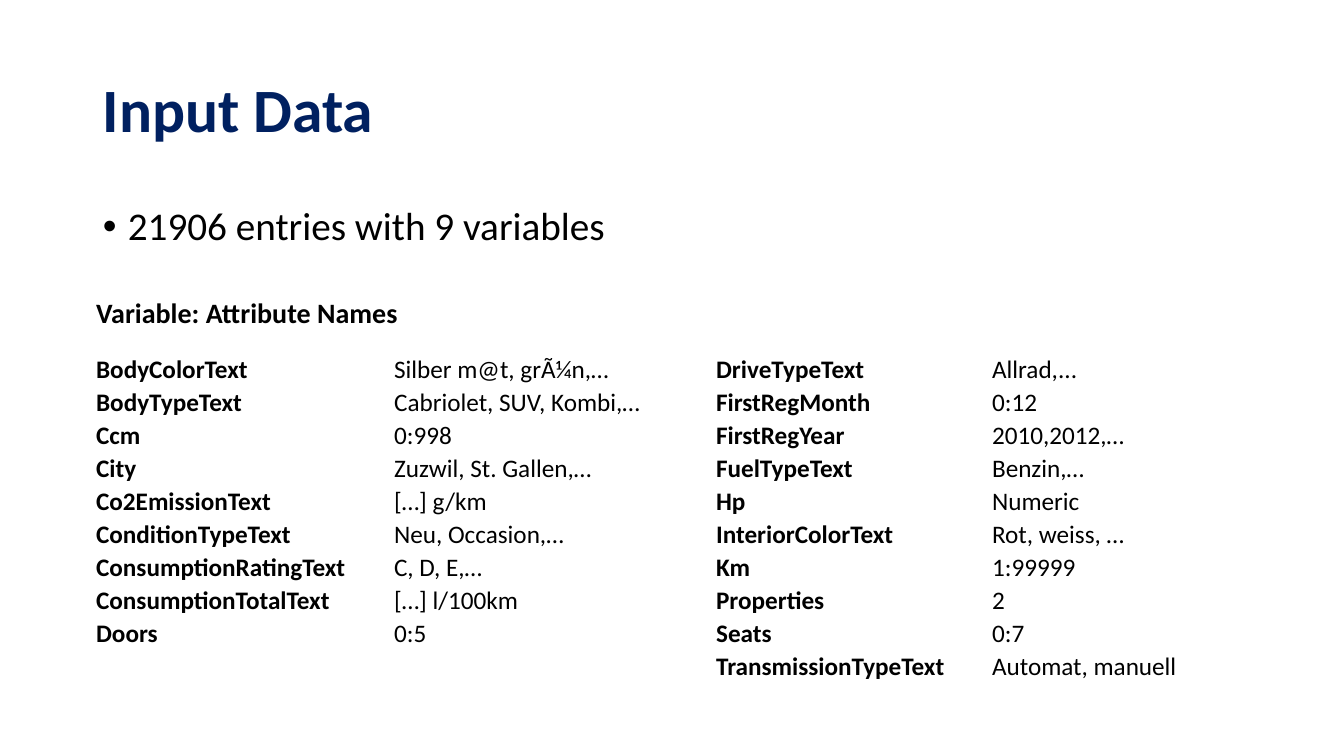
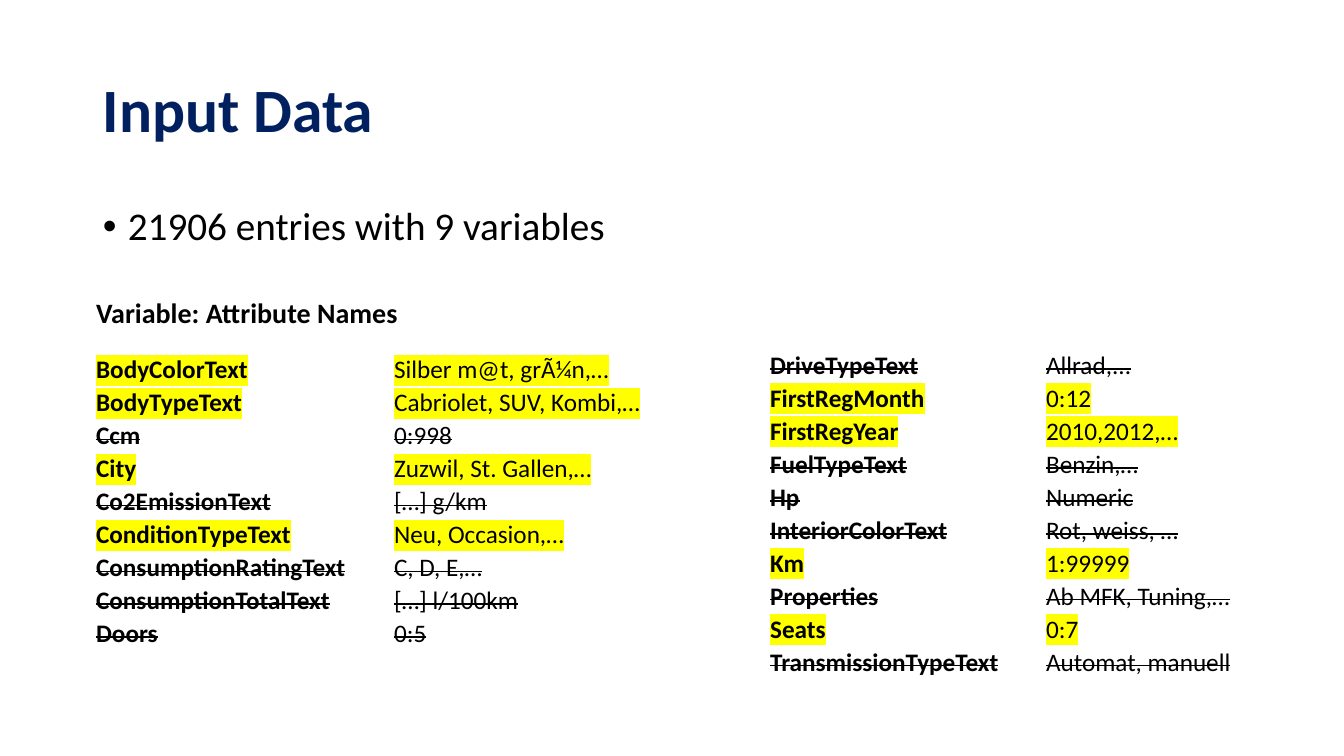
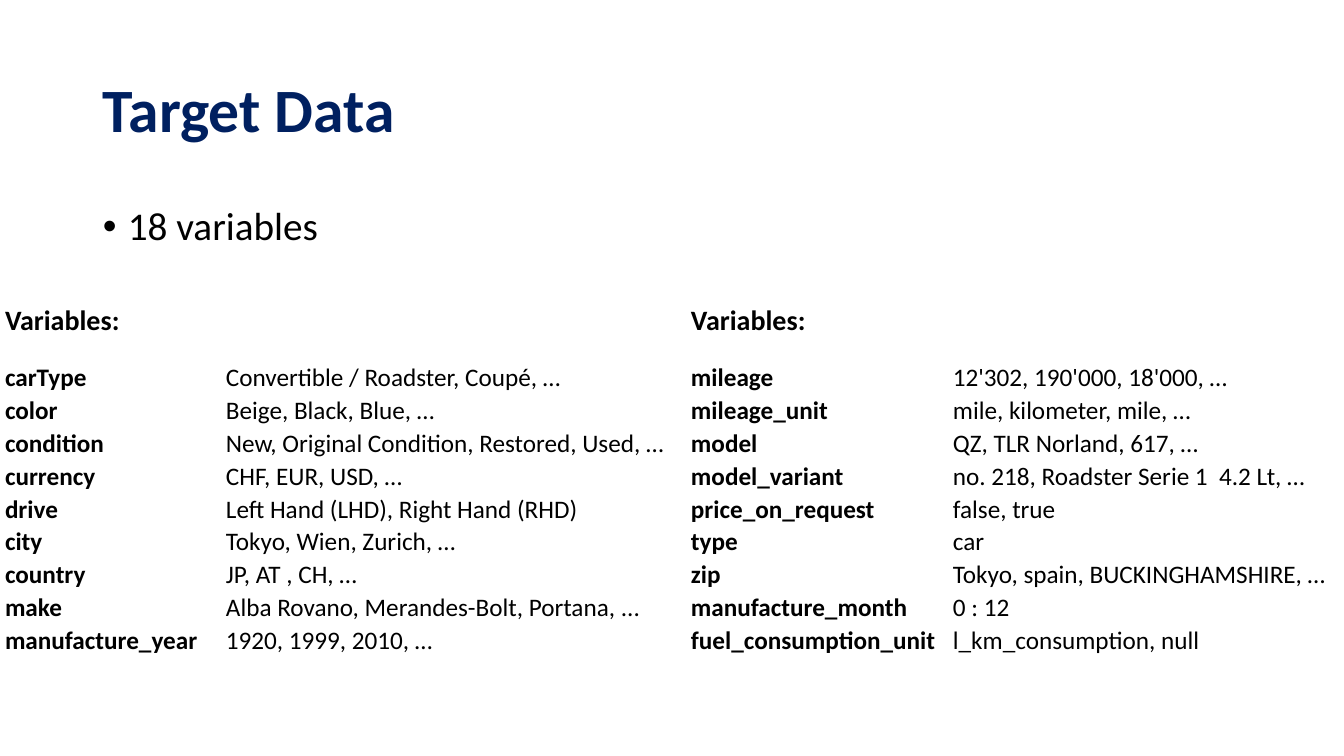
from dataclasses import dataclass, replace
from typing import Any

from lxml.etree import SubElement
from pptx import Presentation
from pptx.dml.color import RGBColor
from pptx.enum.text import MSO_ANCHOR
from pptx.oxml.ns import qn
from pptx.slide import Slide
from pptx.table import Table, _Cell
from pptx.text.text import _Paragraph, _Run
from pptx.util import Emu, Pt

SCALE = 9071.43
NAVY = RGBColor(0x00, 0x20, 0x60)
BLACK = RGBColor(0, 0, 0)
YELLOW = RGBColor(0xFF, 0xFF, 0x00)
FACE = "Calibri"
PLAIN = "{2D5ABB26-0587-4C30-8999-92F81FD0307C}"
PITCH = 33
HEADER = 36

TITLE = {"size": Pt(44), "bold": True}
LEAD = {"size": Pt(28), "bold": False}
HEAD = {"size": Pt(20), "bold": True}
NAME = {"size": Pt(18), "bold": True}
VALUE = {"size": Pt(18), "bold": False}


@dataclass(frozen=True)
class Entry:
    name: str
    value: str


@dataclass(frozen=True)
class Grid:
    left: int
    top: int
    cols: tuple[int, ...]
    head: tuple[int, ...]
    items: tuple[Entry, ...]
    title: str = ""
    first: int = PITCH
    foot: tuple[int, ...] = ()
    marked: bool = False


@dataclass(frozen=True)
class Page:
    title: str
    lead: str
    grids: tuple[Grid, ...]


def px(count: int) -> Emu:
    return Emu(round(count * SCALE))


def apply(target: Any, values: dict[str, Any]) -> None:
    for key, value in values.items():
        setattr(target, key, value)


def write(line: _Paragraph, text: str, style: dict[str, Any], color: RGBColor = BLACK) -> _Run:
    run = line.add_run()
    run.text = text
    apply(run.font, {"name": FACE, **style})
    run.font.color.rgb = color
    return run


def mark(run: _Run, kept: bool) -> None:
    props = run.font._element
    if kept:
        glow = SubElement(props, qn("a:highlight"))
        SubElement(glow, qn("a:srgbClr"), val=str(YELLOW))
        props.find(qn("a:latin")).addprevious(glow)
    else:
        props.set("strike", "sngStrike")


def fill_cell(cell: _Cell, text: str, style: dict[str, Any]) -> _Run:
    apply(cell, {
        "margin_left": px(1), "margin_right": px(1), "margin_top": px(1),
        "margin_bottom": 0, "vertical_anchor": MSO_ANCHOR.BOTTOM,
    })
    return write(cell.text_frame.paragraphs[0], text, style)


def join(table: Table, row: int, last: int) -> None:
    table.cell(row, 1).merge(table.cell(row, last))


def draw_grid(slide: Slide, grid: Grid) -> None:
    heights = grid.head + (grid.first,) + (PITCH,) * (len(grid.items) - 1) + grid.foot
    frame = slide.shapes.add_table(
        len(heights), len(grid.cols), px(grid.left), px(grid.top),
        px(sum(grid.cols)), px(sum(heights)))
    table = frame.table
    apply(table, {"first_row": False, "horz_banding": False})
    table._tbl.tblPr.find(qn("a:tableStyleId")).text = PLAIN
    for col, width in zip(table.columns, grid.cols):
        col.width = px(width)
    for row, height in zip(table.rows, heights):
        row.height = px(height)

    wide = len(grid.cols) > 2
    start, end = (1, 3) if wide else (0, 1)
    if HEADER in grid.head:
        row = grid.head.index(HEADER)
        if wide:
            join(table, row, end)
        if grid.title:
            fill_cell(table.cell(row, start), grid.title, HEAD)
    for row, item in enumerate(grid.items, len(grid.head)):
        if wide:
            join(table, row, end - 1)
        runs = (fill_cell(table.cell(row, start), item.name, NAME),
                fill_cell(table.cell(row, end), item.value, VALUE))
        if grid.marked:
            for run in runs:
                mark(run, item.name in KEPT)

    for cell in table.iter_cells():
        cell.fill.background()
        line = cell.text_frame.paragraphs[0]
        if not line.runs:
            SubElement(line._p, qn("a:endParaRPr"), sz="700")


def add_line(slide: Slide, top: int, height: int, text: str,
             style: dict[str, Any], color: RGBColor, anchor: MSO_ANCHOR) -> _Paragraph:
    box = slide.shapes.add_textbox(px(93), px(top), px(1159), px(height))
    apply(box.text_frame, {"word_wrap": True, "vertical_anchor": anchor})
    line = box.text_frame.paragraphs[0]
    line.line_spacing = 0.9
    write(line, text, style, color)
    return line


def draw_page(slide: Slide, page: Page) -> None:
    add_line(slide, 40, 146, page.title, TITLE, NAVY, MSO_ANCHOR.MIDDLE)
    lead = add_line(slide, 202, 53, page.lead, LEAD, BLACK, MSO_ANCHOR.TOP)
    lead.space_before = Pt(10)
    props = lead._p.get_or_add_pPr()
    props.set("marL", str(px(25)))
    props.set("indent", str(-px(25)))
    SubElement(props, qn("a:buFont"), typeface="Arial")
    SubElement(props, qn("a:buChar"), char="•")
    for grid in page.grids:
        draw_grid(slide, grid)


KEPT = {
    "BodyColorText", "BodyTypeText", "City", "ConditionTypeText",
    "FirstRegMonth", "FirstRegYear", "Km", "Seats",
}
BODY = (
    Entry("BodyColorText", "Silber m@t, grÃ¼n,…"),
    Entry("BodyTypeText", "Cabriolet, SUV, Kombi,…"),
    Entry("Ccm", "0:998"),
    Entry("City", "Zuzwil, St. Gallen,…"),
    Entry("Co2EmissionText", "[…] g/km"),
    Entry("ConditionTypeText", "Neu, Occasion,…"),
    Entry("ConsumptionRatingText", "C, D, E,…"),
    Entry("ConsumptionTotalText", "[…] l/100km"),
    Entry("Doors", "0:5"),
)
DRIVE = (
    Entry("DriveTypeText", "Allrad,..."),
    Entry("FirstRegMonth", "0:12"),
    Entry("FirstRegYear", "2010,2012,…"),
    Entry("FuelTypeText", "Benzin,…"),
    Entry("Hp", "Numeric"),
    Entry("InteriorColorText", "Rot, weiss, …"),
    Entry("Km", "1:99999"),
    Entry("Properties", "2"),
    Entry("Seats", "0:7"),
    Entry("TransmissionTypeText", "Automat, manuell"),
)
TUNED = tuple(
    replace(item, value="Ab MFK, Tuning,…") if item.name == "Properties" else item
    for item in DRIVE)
CAR = (
    Entry("carType", "Convertible / Roadster, Coupé, …"),
    Entry("color", "Beige, Black, Blue, …"),
    Entry("condition", "New, Original Condition, Restored, Used, …"),
    Entry("currency", "CHF, EUR, USD, …"),
    Entry("drive", "Left Hand (LHD), Right Hand (RHD)"),
    Entry("city", "Tokyo, Wien, Zurich, …"),
    Entry("country", "JP, AT , CH, …"),
    Entry("make", "Alba Rovano, Merandes-Bolt, Portana, ..."),
    Entry("manufacture_year", "1920, 1999, 2010, …"),
)
MILES = (
    Entry("mileage", "12'302, 190'000, 18'000, …"),
    Entry("mileage_unit", "mile, kilometer, mile, …"),
    Entry("model", "QZ, TLR Norland, 617, …"),
    Entry("model_variant", "no. 218, Roadster Serie 1  4.2 Lt, …"),
    Entry("price_on_request", "false, true"),
    Entry("type", "car"),
    Entry("zip", "Tokyo, spain, BUCKINGHAMSHIRE, …"),
    Entry("manufacture_month", "0 : 12"),
    Entry("fuel_consumption_unit", "l_km_consumption, null"),
)

LEFT = Grid(71, 273, (22, 212, 86, 419, 19), (11, HEADER, 13), BODY,
            title="Variable: Attribute Names", foot=(20,))
RIGHT = Grid(691, 332, (21, 202, 74, 196), (20,), DRIVE, first=31, foot=(20,))
CHOSEN = replace(RIGHT, left=745, top=270, head=(20, HEADER, 13), items=TUNED, marked=True)
TARGET = Grid(4, 302, (221, 447), (HEADER, 20), CAR, title="Variables:")
COUNT = "21906 entries with 9 variables"

PAGES = (
    Page("Input Data", COUNT, (LEFT, RIGHT)),
    Page("Input Data", COUNT, (replace(LEFT, marked=True), CHOSEN)),
    Page("Target Data", "18 variables",
         (TARGET, replace(TARGET, left=690, cols=(262, 388), items=MILES))),
)

deck = Presentation()
apply(deck, {"slide_width": px(1344), "slide_height": px(756)})
for page in PAGES:
    draw_page(deck.slides.add_slide(deck.slide_layouts[6]), page)
deck.save("out.pptx")
